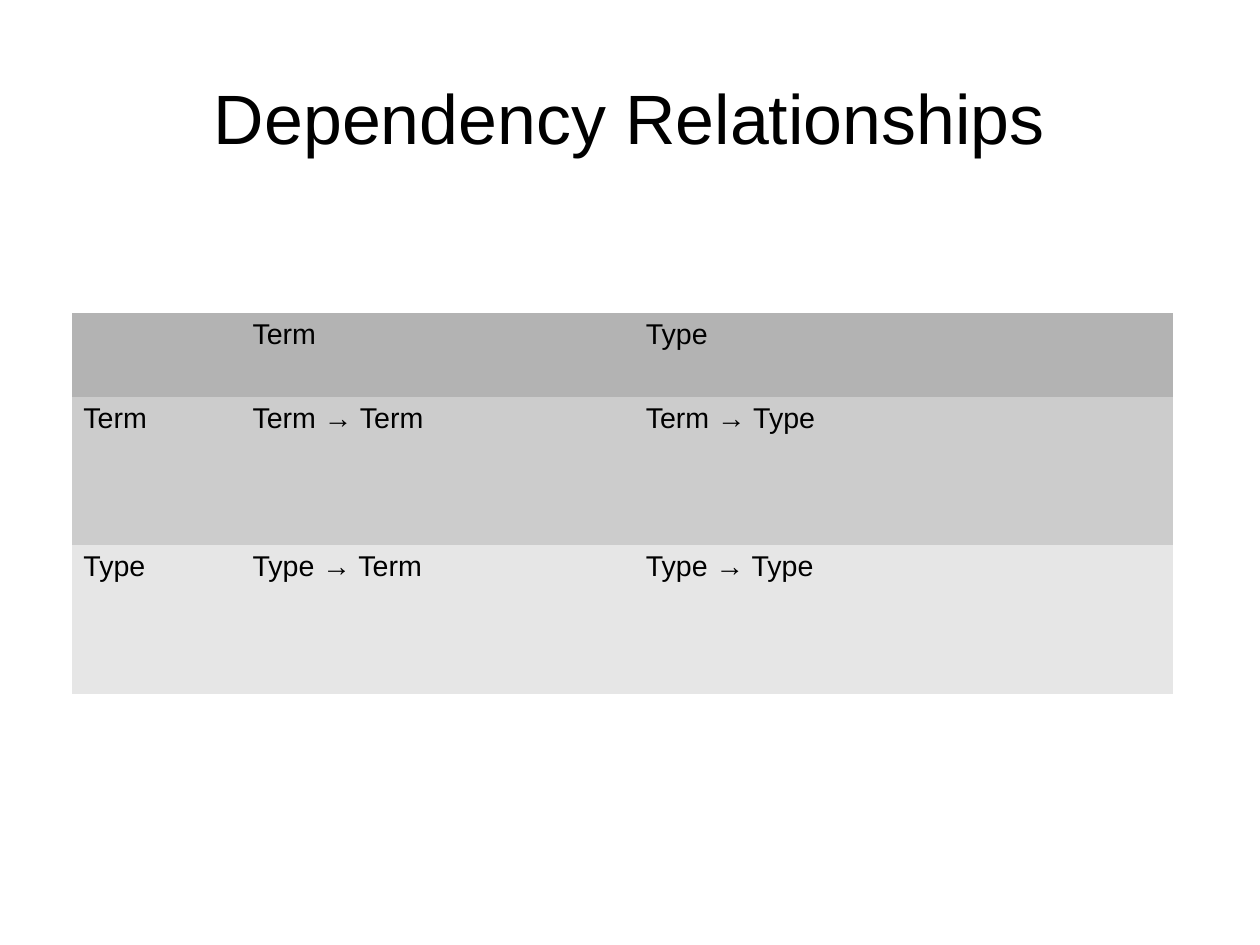
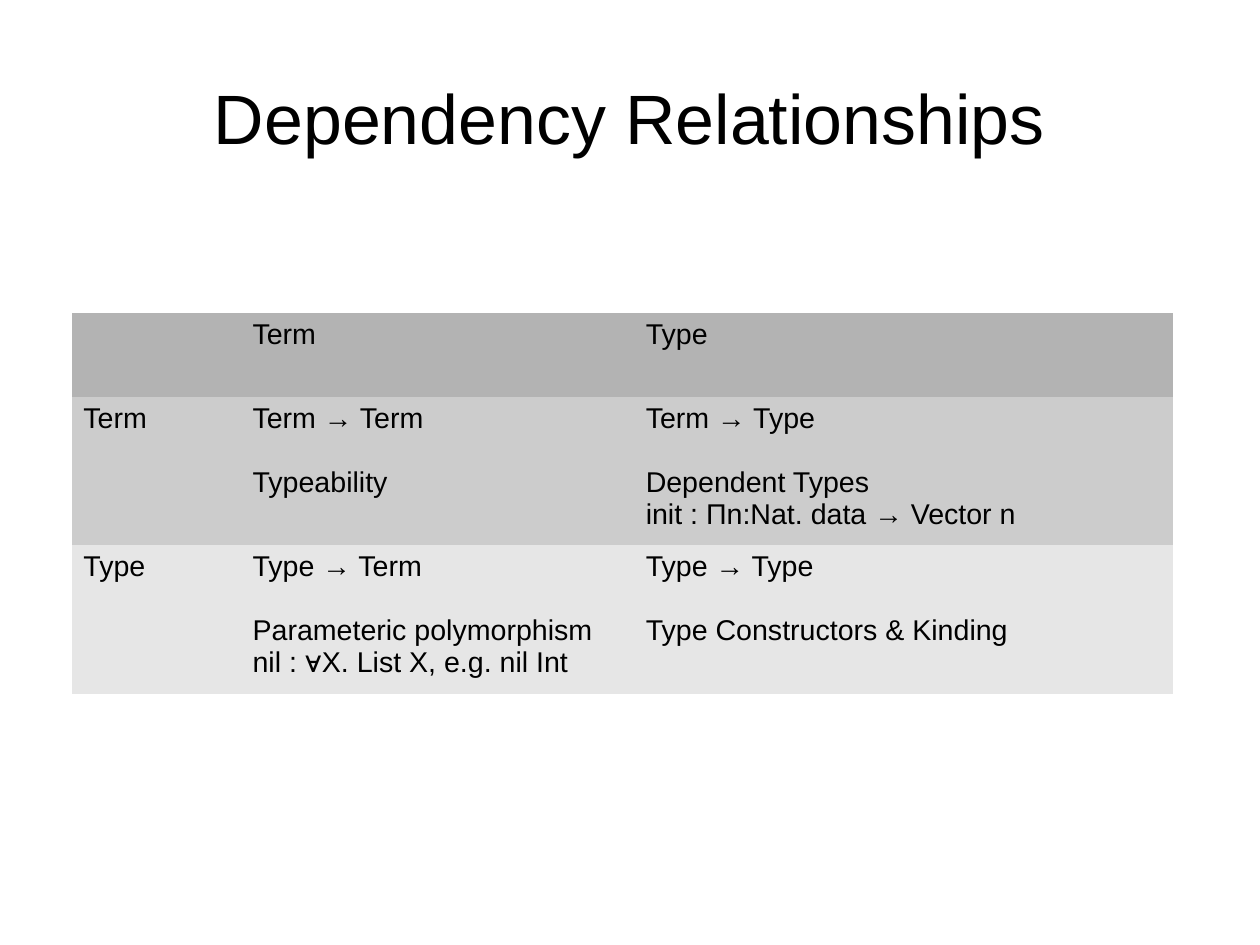
import pptx
import pptx.dml.color
import pptx.enum.text
import pptx.oxml.ns
import pptx.util

Inches = pptx.util.Inches
Cm = pptx.util.Cm
Pt = pptx.util.Pt
RGBColor = pptx.dml.color.RGBColor

FONT = "Arial"
BLACK = RGBColor(0x00, 0x00, 0x00)
ROW_FILLS = [
    RGBColor(0xB3, 0xB3, 0xB3),
    RGBColor(0xCC, 0xCC, 0xCC),
    RGBColor(0xE6, 0xE6, 0xE6),
]
NO_STYLE = "{2D5ABB26-0587-4C30-8999-92F81FD0307C}"

TITLE = "Dependency Relationships"
KINDS = ["Term", "Type"]
COLUMN_WIDTHS = [1.48, 3.44, 4.71]
ROW_HEIGHTS = [0.73, 1.3, 1.3]

# One dict per slide: explanatory lines for each (from, to) dependency
SLIDE_NOTES = [
    {},
    {
        ("Term", "Term"): ["Typeability"],
        ("Term", "Type"): ["Dependent Types", "init : Πn:Nat. data → Vector n"],
        ("Type", "Term"): ["Parameteric polymorphism", "nil : ∀X. List X, e.g. nil Int"],
        ("Type", "Type"): ["Type Constructors & Kinding"],
    },
]


def write(tf, lines, size=18, align=pptx.enum.text.PP_ALIGN.LEFT, gap=20):
    """Write one paragraph per line, with a gap in points after the first."""
    for i, line in enumerate(lines):
        p = tf.add_paragraph() if i else tf.paragraphs[0]
        p.alignment = align
        if i == 1:
            p.space_before = Pt(gap)
        r = p.add_run()
        r.text = line
        r.font.name = FONT
        r.font.size = Pt(size)
        r.font.color.rgb = BLACK


def add_title(slide):
    sp = slide.shapes.add_textbox(Inches(0.55), Inches(0.33), Inches(9.92), Inches(1.38))
    tf = sp.text_frame
    tf.word_wrap = True
    tf.vertical_anchor = pptx.enum.text.MSO_ANCHOR.MIDDLE
    tf.margin_left = tf.margin_right = tf.margin_top = tf.margin_bottom = 0
    write(tf, [TITLE], size=44, align=pptx.enum.text.PP_ALIGN.CENTER)


def dependency_rows(notes):
    header = [[]] + [[kind] for kind in KINDS]
    body = [
        [[source]] + [[f"{source} → {target}"] + notes.get((source, target), []) for target in KINDS]
        for source in KINDS
    ]
    return [header] + body


def add_dependency_table(slide, notes):
    frame = slide.shapes.add_table(
        len(ROW_HEIGHTS), len(COLUMN_WIDTHS), Inches(0.63), Inches(2.74),
        Inches(sum(COLUMN_WIDTHS)), Inches(sum(ROW_HEIGHTS)))
    table = frame.table
    table.first_row = table.horz_banding = False
    table._tbl.tblPr.find(pptx.oxml.ns.qn("a:tableStyleId")).text = NO_STYLE
    for column, width in zip(table.columns, COLUMN_WIDTHS):
        column.width = Inches(width)
    for row, height, fill, texts in zip(table.rows, ROW_HEIGHTS, ROW_FILLS, dependency_rows(notes)):
        row.height = Inches(height)
        for cell, lines in zip(row.cells, texts):
            cell.fill.solid()
            cell.fill.fore_color.rgb = fill
            write(cell.text_frame, lines)


def main():
    prs = pptx.Presentation()
    prs.slide_width = Cm(28)
    prs.slide_height = Cm(21)
    for notes in SLIDE_NOTES:
        slide = prs.slides.add_slide(prs.slide_layouts[6])
        add_title(slide)
        add_dependency_table(slide, notes)
    prs.save("out.pptx")


if __name__ == "__main__":
    main()
